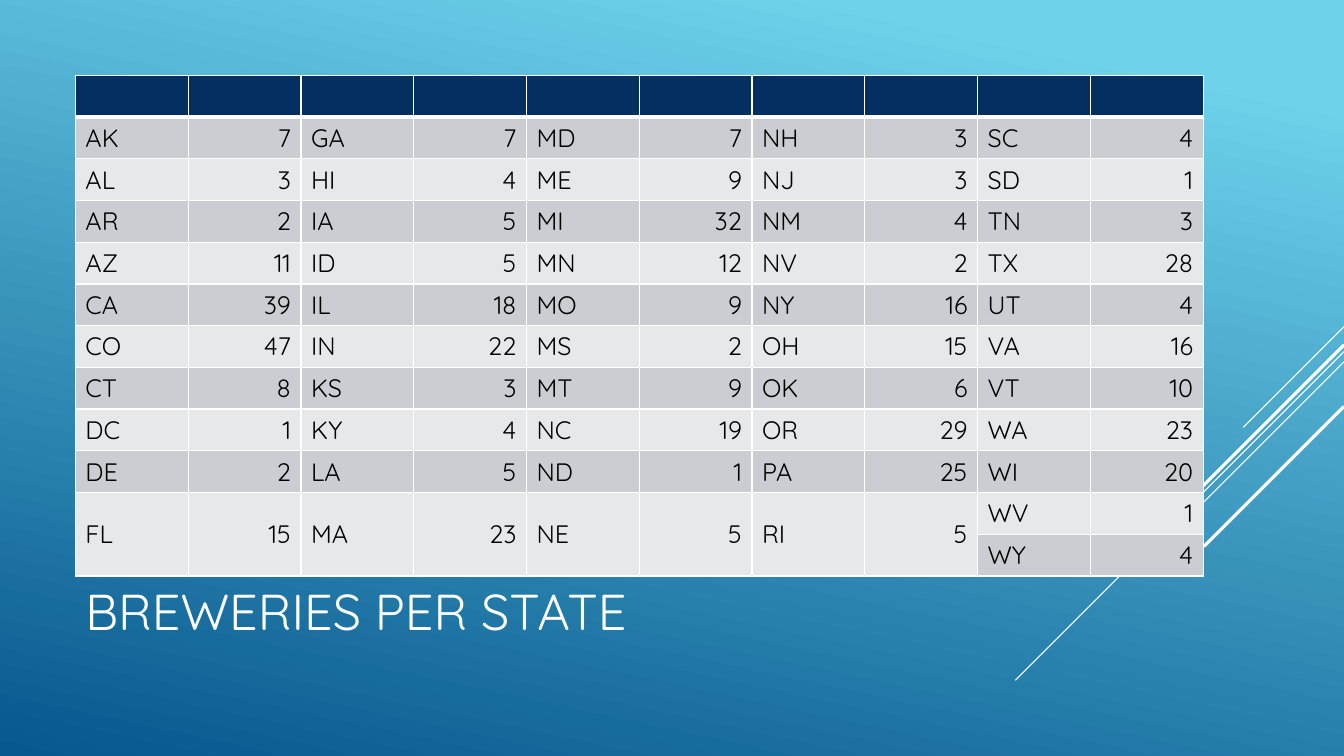
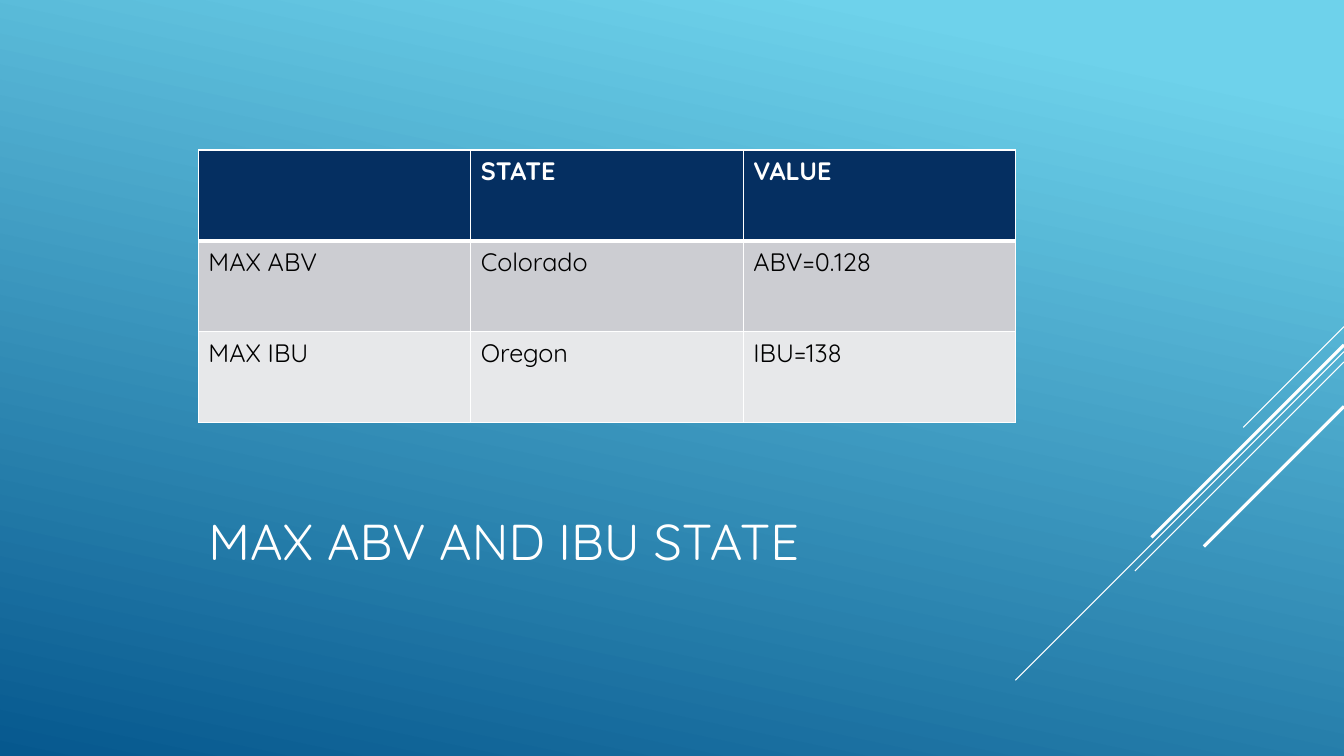
from dataclasses import dataclass

from lxml.etree import SubElement
from pptx import Presentation
from pptx.dml.color import RGBColor
from pptx.enum.shapes import MSO_CONNECTOR
from pptx.enum.text import MSO_ANCHOR, PP_ALIGN
from pptx.oxml.ns import qn
from pptx.util import Cm, Pt


@dataclass(frozen=True)
class Theme:
    font: str = "Quicksand"
    title_size: int = 36
    table_size: int = 18
    white: str = "FFFFFF"
    black: str = "000000"
    header: str = "052F61"
    band_dark: str = "CCCDD2"
    band_light: str = "E7E8EA"
    gradient: tuple = ((0.1, "6ED2EB"), (1.0, "06588E"))
    gradient_angle: int = 258
    grid_width: int = 1
    header_rule_width: int = 3


@dataclass(frozen=True)
class Box:
    left: float
    top: float
    width: float
    height: float

    def lengths(self):
        return Cm(self.left), Cm(self.top), Cm(self.width), Cm(self.height)


THEME = Theme()
SLIDE_WIDTH, SLIDE_HEIGHT = 33.87, 19.05
TITLE_ONLY_LAYOUT = 5

# Diagonal rays: top at the right edge, run in cm, line width in points
RAYS = [
    (8.23, 2.54, 0.75),
    (8.86, 8.28, 0.75),
    (9.12, 5.27, 0.75),
    (8.69, 4.85, 2.25),
    (10.24, 3.53, 2.25),
]

# Each string fills one pair of table columns
BREWERIES = [
    "AK 7 AL 3 AR 2 AZ 11 CA 39 CO 47 CT 8 DC 1 DE 2 FL 15",
    "GA 7 HI 4 IA 5 ID 5 IL 18 IN 22 KS 3 KY 4 LA 5 MA 23",
    "MD 7 ME 9 MI 32 MN 12 MO 9 MS 2 MT 9 NC 19 ND 1 NE 5",
    "NH 3 NJ 3 NM 4 NV 2 NY 16 OH 15 OK 6 OR 29 PA 25 RI 5",
    "SC 4 SD 1 TN 3 TX 28 UT 4 VA 16 VT 10 WA 23 WI 20 WV 1 WY 4",
]

MAXIMA = [
    ["", "STATE", "VALUE"],
    ["MAX ABV", "Colorado", "ABV=0.128"],
    ["MAX IBU", "Oregon", "IBU=138"],
]


def set_font(paragraph, size, color, bold=False):
    font = paragraph.font
    font.name = THEME.font
    font.size = Pt(size)
    font.bold = bold
    font.color.rgb = RGBColor.from_string(color)


def paint_background(master):
    fill = master.background.fill
    fill.gradient()
    fill.gradient_angle = THEME.gradient_angle
    for stop, (position, color) in zip(fill.gradient_stops, THEME.gradient):
        stop.position = position
        stop.color.rgb = RGBColor.from_string(color)


def add_rays(slide, right):
    for top, run, width in RAYS:
        ray = slide.shapes.add_connector(
            MSO_CONNECTOR.STRAIGHT, Cm(right), Cm(top), Cm(right - run), Cm(top + run))
        ray.line.color.rgb = RGBColor.from_string(THEME.white)
        ray.line.width = Pt(width)
        SubElement(ray._element.spPr, qn("a:effectLst"))


def place_title(slide, text, box):
    title = slide.shapes.title
    title.left, title.top, title.width, title.height = box.lengths()
    frame = title.text_frame
    frame.text = text
    frame.vertical_anchor = MSO_ANCHOR.MIDDLE
    paragraph = frame.paragraphs[0]
    paragraph.alignment = PP_ALIGN.LEFT
    set_font(paragraph, THEME.title_size, THEME.white)


def set_borders(cell, row):
    widths = dict.fromkeys(("lnL", "lnR", "lnT", "lnB"), THEME.grid_width)
    # The heavy rule lies between the header and the first row
    if row < 2:
        widths["lnB" if row == 0 else "lnT"] = THEME.header_rule_width
    properties = cell._tc.get_or_add_tcPr()
    for side, width in widths.items():
        line = SubElement(properties, qn(f"a:{side}"), w=str(Pt(width)))
        fill = SubElement(line, qn("a:solidFill"))
        SubElement(fill, qn("a:srgbClr"), val=THEME.white)


def format_cell(cell, row, text, anchor):
    is_header = row == 0
    set_borders(cell, row)
    band = THEME.band_dark if row % 2 else THEME.band_light
    cell.fill.solid()
    cell.fill.fore_color.rgb = RGBColor.from_string(THEME.header if is_header else band)
    cell.vertical_anchor = anchor
    cell.text = text
    paragraph = cell.text_frame.paragraphs[0]
    paragraph.alignment = PP_ALIGN.RIGHT if text.isdigit() else PP_ALIGN.LEFT
    set_font(paragraph, THEME.table_size,
             THEME.white if is_header else THEME.black, bold=is_header)


def place_table(slide, rows, box, anchor=MSO_ANCHOR.TOP):
    table = slide.shapes.add_table(len(rows), len(rows[0]), *box.lengths()).table
    for row, texts in enumerate(rows):
        for column, text in enumerate(texts):
            format_cell(table.cell(row, column), row, text, anchor)
    return table


def add_table_slide(presentation, title, title_box):
    slide = presentation.slides.add_slide(presentation.slide_layouts[TITLE_ONLY_LAYOUT])
    add_rays(slide, SLIDE_WIDTH)
    place_title(slide, title, title_box)
    return slide


def add_breweries_slide(presentation):
    slide = add_table_slide(presentation, "BREWERIES PER STATE", Box(1.9, 14.1, 23.7, 2.57))
    columns = []
    for pairs in BREWERIES:
        items = pairs.split()
        columns += [items[0::2], items[1::2]]
    row_count = max(map(len, columns))
    rows = [[""] * len(columns)]
    for index in range(row_count):
        rows.append([column[index] if index < len(column) else "" for column in columns])
    table = place_table(slide, rows, Box(1.9, 1.9, 28.42, 12.6), MSO_ANCHOR.MIDDLE)
    # Shorter columns end in a double-height cell
    for index, column in enumerate(columns):
        if len(column) < row_count:
            table.cell(len(column), index).merge(table.cell(row_count, index))


def add_maxima_slide(presentation):
    slide = add_table_slide(presentation, "MAX ABV AND IBU STATE", Box(5, 12.19, 20.6, 2.87))
    place_table(slide, MAXIMA, Box(5, 3.78, 20.6, 6.87))


def main():
    presentation = Presentation()
    presentation.slide_width = Cm(SLIDE_WIDTH)
    presentation.slide_height = Cm(SLIDE_HEIGHT)
    paint_background(presentation.slide_master)
    add_breweries_slide(presentation)
    add_maxima_slide(presentation)
    presentation.save("out.pptx")


if __name__ == "__main__":
    main()
